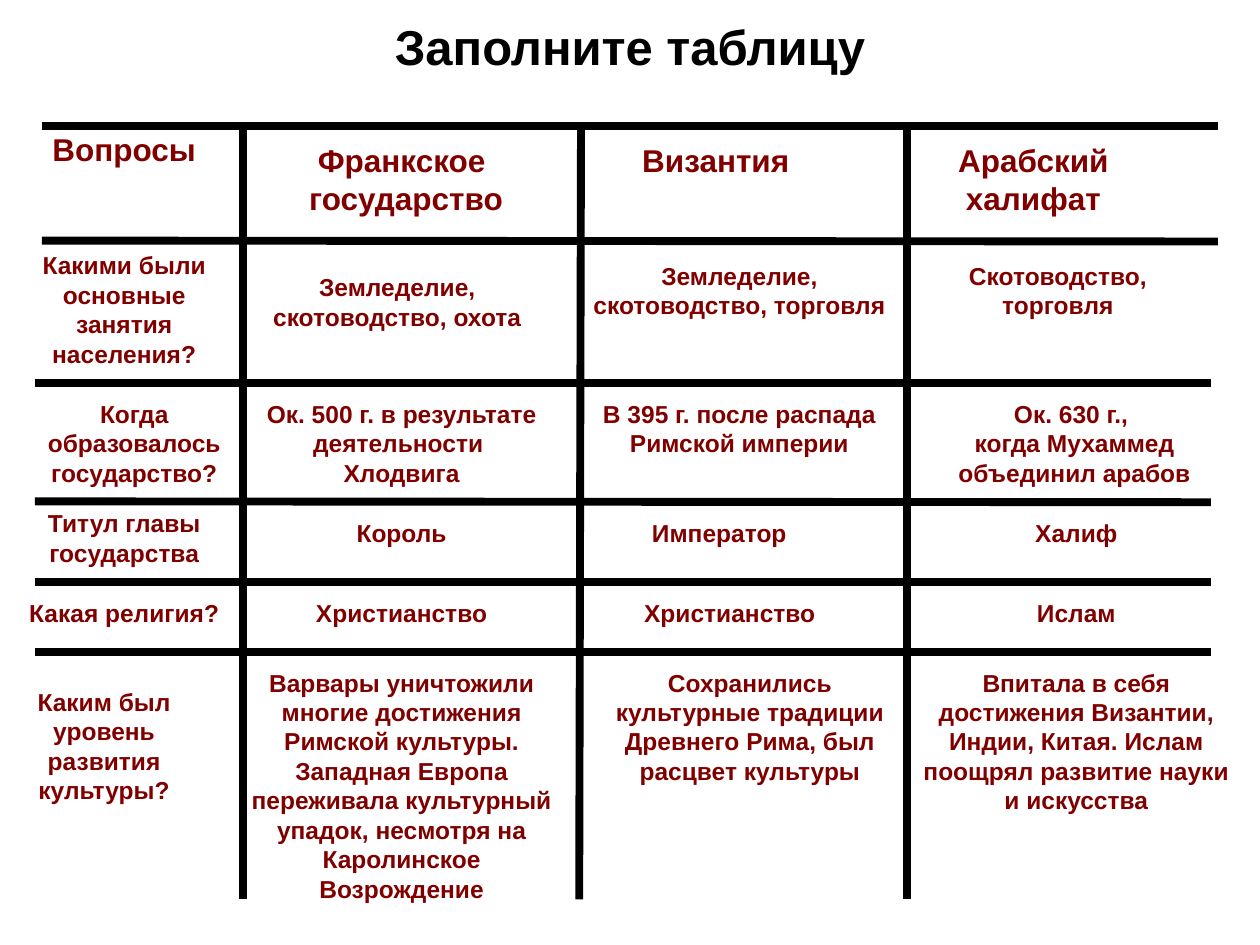
from dataclasses import dataclass

from lxml import etree
from pptx import Presentation
from pptx.dml.color import RGBColor
from pptx.enum.shapes import MSO_CONNECTOR
from pptx.enum.text import MSO_ANCHOR, PP_ALIGN
from pptx.oxml.ns import qn
from pptx.util import Pt

STRAIGHT = MSO_CONNECTOR.STRAIGHT
CENTER = PP_ALIGN.CENTER
TOP, MIDDLE = MSO_ANCHOR.TOP, MSO_ANCHOR.MIDDLE


@dataclass(frozen=True)
class Theme:
    font: str = "Arial"
    ink: RGBColor = RGBColor(0, 0, 0)
    maroon: RGBColor = RGBColor(128, 0, 0)
    title_size: float = 28
    heading_size: float = 18
    body_size: float = 14
    rule_width: float = 4.5


THEME = Theme()

# Rules: (left, right, y of the left end, y of the right end)
HORIZONTAL_RULES = [
    (24, 696, 72, 72),
    (24, 696, 137.5, 138),
    (20, 692, 219, 219),
    (20, 692, 286.5, 287),
    (20, 692, 332.5, 332.5),
    (20, 692, 372.5, 372.5),
]
# Rules: (x of the lower end, x of the upper end)
VERTICAL_RULES = [(139, 139), (331, 332), (518.5, 518.5)]
VERTICAL_TOP, VERTICAL_BOTTOM = 74, 514

# Cells: (left, top, width, lines)
HEADINGS = [
    (14.5, 71, 113, ["Вопросы"]),
    (161, 77, 142, ["Франкское ", "государство"]),
    (350, 77, 118, ["Византия"]),
    (531.5, 77, 118, ["Арабский халифат"]),
]
ROWS = [
    # Occupations
    [
        (14.5, 139.5, 113, ["Какими были основные занятия населения?"]),
        (145, 152, 164, ["Земледелие, скотоводство, охота"]),
        (331.5, 145.5, 182, ["Земледелие, скотоводство, торговля"]),
        (513.5, 145.5, 182, ["Скотоводство, торговля"]),
    ],
    # Foundation
    [
        (20, 224.5, 113.5, ["Когда образовалось государство?"]),
        (133, 224.5, 193, ["Ок. 500 г. в результате деятельности ", "Хлодвига"]),
        (326, 224.5, 193, ["В 395 г. после распада Римской империи"]),
        (510.5, 224.5, 207, ["Ок. 630 г., ", "когда Мухаммед", "объединил арабов"]),
    ],
    # Title of the ruler
    [
        (14.5, 287, 113, ["Титул главы государства"]),
        (133, 292.5, 193, ["Король"]),
        (314.5, 292.5, 193, ["Император"]),
        (518.5, 292.5, 193, ["Халиф"]),
    ],
    # Religion
    [
        (8.5, 338, 125, ["Какая религия?"]),
        (133, 338, 193, ["Христианство"]),
        (320.5, 338, 193, ["Христианство"]),
        (518.5, 338, 193, ["Ислам"]),
    ],
    # Culture
    [
        (-3, 389, 125, ["Каким был уровень развития культуры?"]),
        (133, 378, 193, [
            "Варвары уничтожили многие достижения Римской культуры. "
            "Западная Европа переживала культурный упадок, "
            "несмотря на Каролинское Возрождение"]),
        (332, 378, 193, [
            "Сохранились культурные традиции Древнего Рима, "
            "был расцвет культуры"]),
        (518.5, 378, 193, [
            "Впитала в себя достижения Византии, Индии, Китая. "
            "Ислам поощрял развитие науки и искусства"]),
    ],
]


def add_text(slide, left, top, width, height, lines, size, color, anchor=TOP):
    shape = slide.shapes.add_textbox(Pt(left), Pt(top), Pt(width), Pt(height))
    frame = shape.text_frame
    frame.word_wrap = True
    frame.vertical_anchor = anchor
    for index, line in enumerate(lines):
        paragraph = frame.add_paragraph() if index else frame.paragraphs[0]
        paragraph.alignment = CENTER
        run = paragraph.add_run()
        run.text = line
        run.font.name = THEME.font
        run.font.size = Pt(size)
        run.font.bold = True
        run.font.color.rgb = color


def add_rule(slide, start_x, start_y, end_x, end_y):
    rule = slide.shapes.add_connector(
        STRAIGHT, Pt(start_x), Pt(start_y), Pt(end_x), Pt(end_y))
    rule.line.color.rgb = THEME.ink
    rule.line.width = Pt(THEME.rule_width)
    etree.SubElement(rule.element.spPr, qn("a:effectLst"))


def add_cells(slide, cells, height, size):
    for left, top, width, lines in cells:
        add_text(slide, left, top, width, height, lines, size, THEME.maroon)


def main():
    presentation = Presentation()
    presentation.slide_width, presentation.slide_height = Pt(720), Pt(540)
    slide = presentation.slides.add_slide(presentation.slide_layouts[6])

    # Title
    add_text(slide, 36, 9.5, 648, 34, ["Заполните таблицу"],
             THEME.title_size, THEME.ink, MIDDLE)

    # Grid
    for left, right, left_y, right_y in HORIZONTAL_RULES:
        add_rule(slide, left, left_y, right, right_y)
    for lower_x, upper_x in VERTICAL_RULES:
        add_rule(slide, lower_x, VERTICAL_BOTTOM, upper_x, VERTICAL_TOP)

    # Questions and answers
    add_cells(slide, HEADINGS, 54, THEME.heading_size)
    for row in ROWS:
        add_cells(slide, row, 28, THEME.body_size)

    presentation.save("out.pptx")


if __name__ == "__main__":
    main()
